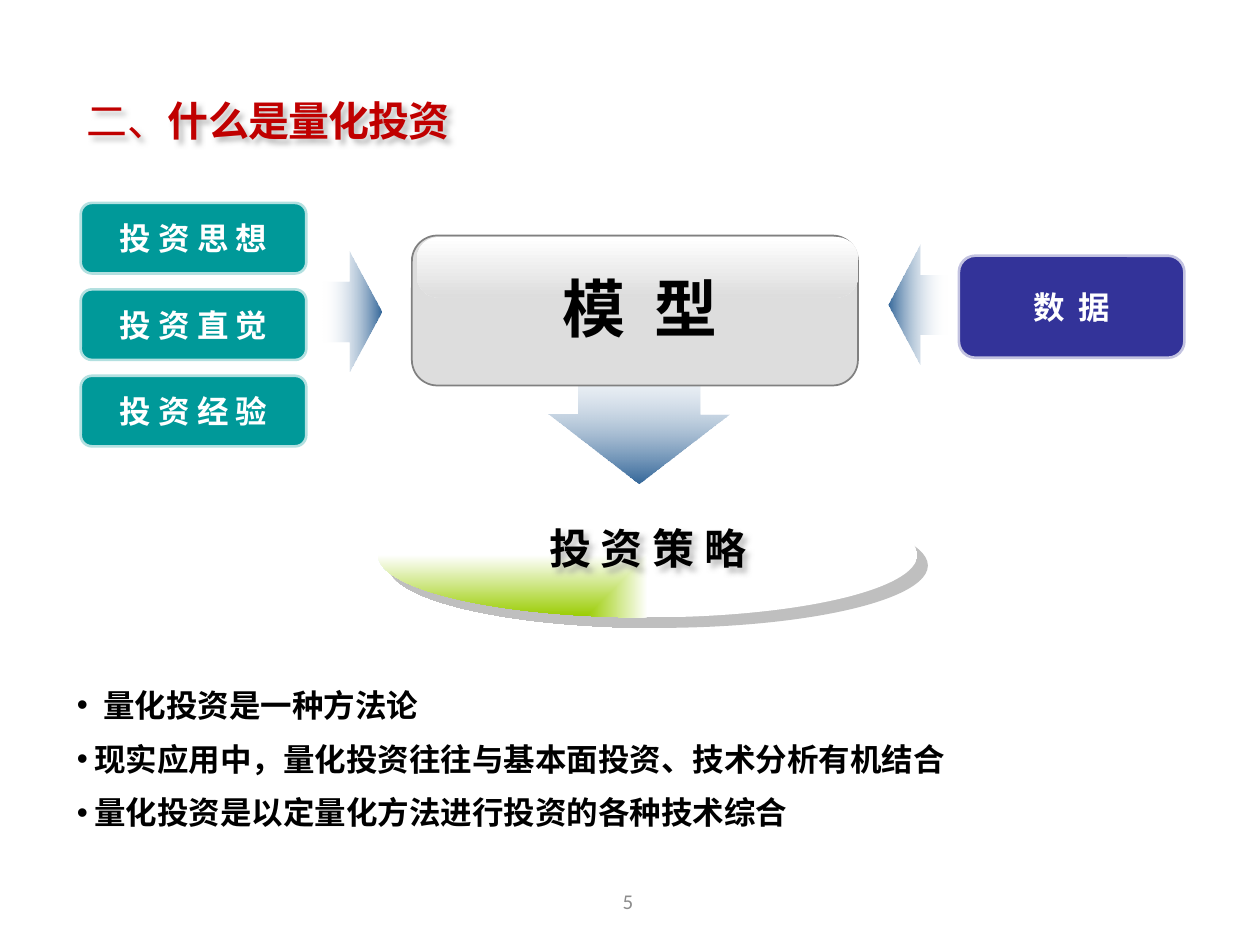
from typing import NamedTuple

from pptx import Presentation
from pptx.dml.color import RGBColor
from pptx.enum.shapes import MSO_SHAPE as Preset
from pptx.enum.text import MSO_ANCHOR as Anchor, MSO_AUTO_SIZE as AutoSize, PP_ALIGN as Align
from pptx.oxml import parse_xml
from pptx.oxml.ns import nsdecls, qn
from pptx.oxml.xmlchemy import OxmlElement
from pptx.util import Pt

CJK = "Noto Sans CJK SC"
COLORS = {
    "title": "C00000", "text": "000000", "page": "8C8C8C", "white": "FFFFFF",
    "idea": "009999", "data": "333399", "model": "DDDDDD", "edge": "808080",
    "arrow": "336699", "strategy": "99CC00",
}


class Area(NamedTuple):
    left: float
    top: float
    width: float
    height: float


class Stop(NamedTuple):
    position: int
    color: str
    opacity: int = 100


class Card(NamedTuple):
    label: str
    area: Area
    color: str


class Arrow(NamedTuple):
    preset: Preset
    area: Area
    shaft: float
    head: float
    angle: int


IDEAS = ("投 资 思 想", "投 资 直 觉", "投 资 经 验")
CARDS = [Card(label, Area(45.4, 115.2 + 49.4 * row, 130.4, 41.8), "idea")
         for row, label in enumerate(IDEAS)]
CARDS.append(Card("数  据", Area(547.2, 145.4, 130.4, 59.8), "data"))

ARROWS = (
    Arrow(Preset.DOWN_ARROW, Area(313.2, 193.7, 103.7, 82.8), 0.67, 0.48, 90),
    Arrow(Preset.RIGHT_ARROW, Area(184.3, 144, 33.8, 68.4), 0.5, 0.54, 0),
    Arrow(Preset.LEFT_ARROW, Area(507.6, 139.7, 33.8, 68.4), 0.5, 0.54, 180),
)

# Each point with its hanging indent
POINTS = (
    ("量化投资是一种方法论", 15),
    ("现实应用中，量化投资往往与基本面投资、技术分析有机结合", 10),
    ("量化投资是以定量化方法进行投资的各种技术综合", 10),
)


def rgb(color: str) -> RGBColor:
    return RGBColor.from_string(COLORS[color])


def set_font(paragraph, size: float, color: str, bold=None, name: str = CJK) -> None:
    font = paragraph.font
    font.size, font.bold, font.name = Pt(size), bold, name
    font.color.rgb = rgb(color)
    east_asian = OxmlElement("a:ea")
    east_asian.set("typeface", name)
    paragraph._p.pPr.find(qn("a:defRPr")).find(qn("a:latin")).addnext(east_asian)


def place(shape, area: Area) -> None:
    shape.left, shape.top, shape.width, shape.height = map(Pt, area)


def add_preset(slide, preset: Preset, area: Area, *adjustments: float):
    """Add a shape with no line, fill or shadow."""
    shape = slide.shapes.add_shape(preset, *map(Pt, area))
    for index, value in enumerate(adjustments):
        shape.adjustments[index] = value
    shape.shadow.inherit = False
    shape.fill.background()
    shape.line.fill.background()
    return shape


def fill_gradient(shape, stops: tuple, course: str) -> None:
    """Fill with stops along course, an a:lin or a:path element."""
    entries = "".join(
        f'<a:gs pos="{stop.position * 1000}"><a:srgbClr val="{COLORS[stop.color]}">'
        f'<a:alpha val="{stop.opacity * 1000}"/></a:srgbClr></a:gs>' for stop in stops)
    properties = shape._element.spPr
    properties.replace(properties.find(qn("a:noFill")), parse_xml(
        f'<a:gradFill {nsdecls("a")} rotWithShape="1">'
        f'<a:gsLst>{entries}</a:gsLst>{course}</a:gradFill>'))


def linear(angle: int) -> str:
    return f'<a:lin ang="{angle * 60000}" scaled="0"/>'


def add_shadow(shape, distance: float, blur: float = 0) -> None:
    shape.shadow.inherit = False
    effects = shape._element.spPr.find(qn("a:effectLst"))
    effects.append(parse_xml(
        f'<a:outerShdw {nsdecls("a")} blurRad="{Pt(blur)}" dist="{Pt(distance)}" '
        f'dir="2700000" algn="ctr" rotWithShape="0"><a:srgbClr val="{COLORS["edge"]}">'
        f'<a:alpha val="50000"/></a:srgbClr></a:outerShdw>'))


def write_centered(shape, text: str, size: float, color: str, bold=True, name=CJK) -> None:
    frame = shape.text_frame
    frame.word_wrap = True
    frame.vertical_anchor = Anchor.MIDDLE
    paragraph = frame.paragraphs[0]
    paragraph.text, paragraph.alignment = text, Align.CENTER
    set_font(paragraph, size, color, bold, name)


def add_label(slide, area: Area, *style):
    label = slide.shapes.add_textbox(*map(Pt, area))
    write_centered(label, *style)
    return label


def add_card(slide, card: Card) -> None:
    box = add_preset(slide, Preset.ROUNDED_RECTANGLE, card.area, 0.17)
    box.fill.solid()
    box.fill.fore_color.rgb = rgb(card.color)
    box.line.color.rgb = rgb("white")
    box.line.width = Pt(3)
    alpha = OxmlElement("a:alpha")
    alpha.set("val", "69000")
    next(box.line._ln.iter(qn("a:srgbClr"))).append(alpha)
    write_centered(box, card.label, 18, "white")


def add_arrow(slide, arrow: Arrow) -> None:
    shape = add_preset(slide, arrow.preset, arrow.area, arrow.shaft, arrow.head)
    fill_gradient(shape, (Stop(0, "white", 0), Stop(100, "arrow")), linear(arrow.angle))


def add_model(slide) -> None:
    box = add_preset(slide, Preset.ROUNDED_RECTANGLE, Area(235.4, 134.6, 254.9, 85.7), 0.17)
    box.fill.solid()
    box.fill.fore_color.rgb = rgb("model")
    box.line.color.rgb = rgb("edge")
    box.line.width = Pt(1)
    shine = add_preset(slide, Preset.ROUNDED_RECTANGLE, Area(238.3, 135.4, 252, 34.6), 0.35)
    fill_gradient(shine, (Stop(0, "white"), Stop(100, "model")), linear(90))
    add_label(slide, Area(303.8, 149.8, 123.8, 51.1), "模  型", 36, "text")


def add_strategy(slide) -> None:
    disc = add_preset(slide, Preset.OVAL, Area(216, 281.5, 308.2, 71.3))
    fill_gradient(disc, (Stop(0, "strategy"), Stop(100, "white")),
                  '<a:path path="rect"><a:fillToRect t="100000" r="100000"/></a:path>')
    add_shadow(disc, 8.5)
    label = add_label(slide, Area(180, 295.2, 380.2, 36), "投 资 策 略", 24, "text")
    add_shadow(label, 3, 3)


def write_title(title) -> None:
    place(title, Area(42.5, 49, 238.3, 39.6))
    frame = title.text_frame
    frame.auto_size = AutoSize.NONE
    frame.vertical_anchor = Anchor.MIDDLE
    paragraph = frame.paragraphs[0]
    paragraph.alignment = Align.LEFT
    paragraph.add_run().text = "二、"
    topic = paragraph.add_run()
    topic.text = "什么是量化投资"
    topic.font.bold = True
    set_font(paragraph, 23.4, "title")
    paragraph._p.pPr.find(qn("a:defRPr")).set("spc", "-50")
    add_shadow(title, 3, 3)


def write_points(body) -> None:
    place(body, Area(36.7, 388.1, 640.8, 94.3))
    frame = body.text_frame
    frame.auto_size = AutoSize.NONE
    for index, (text, indent) in enumerate(POINTS):
        paragraph = frame.add_paragraph() if index else frame.paragraphs[0]
        paragraph.text = text
        paragraph.line_spacing = Pt(22)
        paragraph.space_before = Pt(8.6 if index else 0)
        properties = paragraph._p.get_or_add_pPr()
        properties.set("marL", str(Pt(indent)))
        properties.set("indent", str(-Pt(indent)))
        bullet = OxmlElement("a:buChar")
        bullet.set("char", "•")
        properties.append(bullet)
        set_font(paragraph, 18, "text", True)


def main() -> None:
    deck = Presentation()
    deck.slide_width, deck.slide_height = Pt(720), Pt(540)
    slide = deck.slides.add_slide(deck.slide_layouts[1])
    write_title(slide.shapes.title)
    write_points(slide.placeholders[1])
    for arrow in ARROWS:
        add_arrow(slide, arrow)
    add_model(slide)
    add_strategy(slide)
    for card in CARDS:
        add_card(slide, card)
    add_label(slide, Area(275, 500.4, 167.8, 28.8), "5", 12, "page", False, "Calibri")
    deck.save("out.pptx")


if __name__ == "__main__":
    main()
